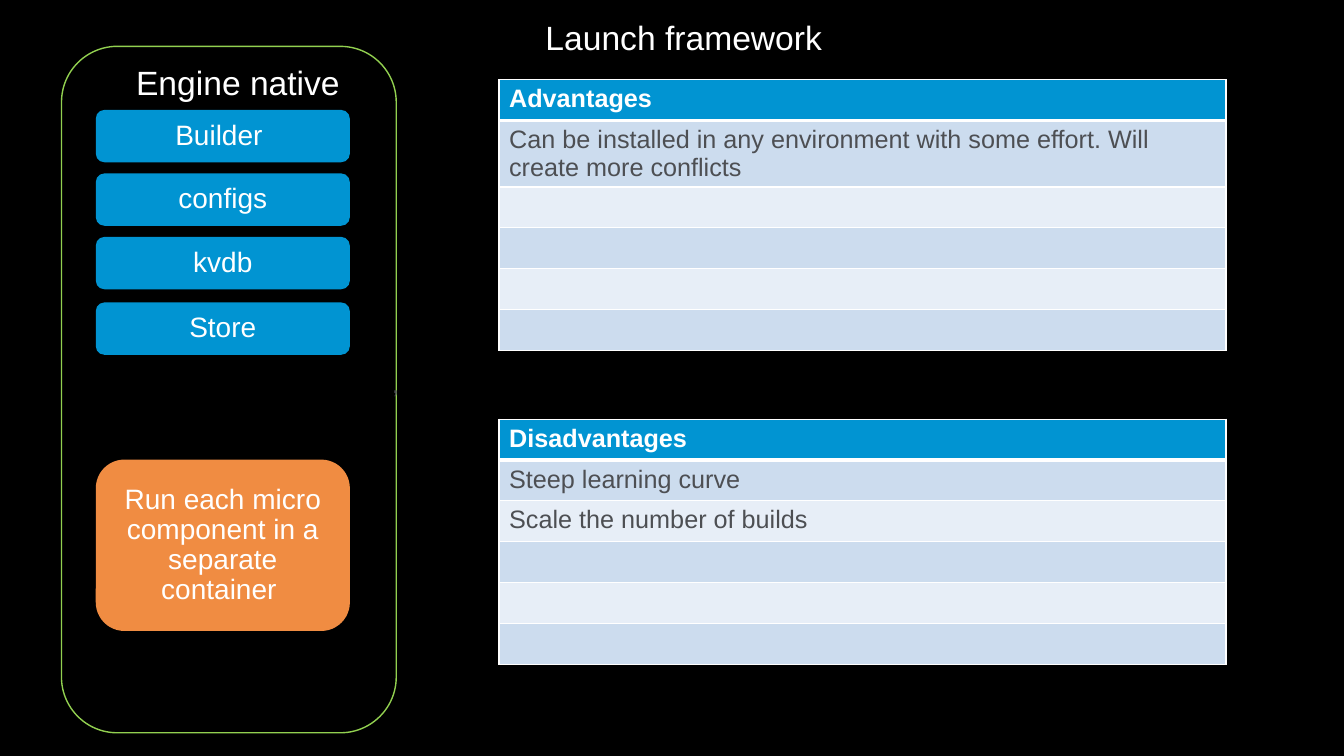
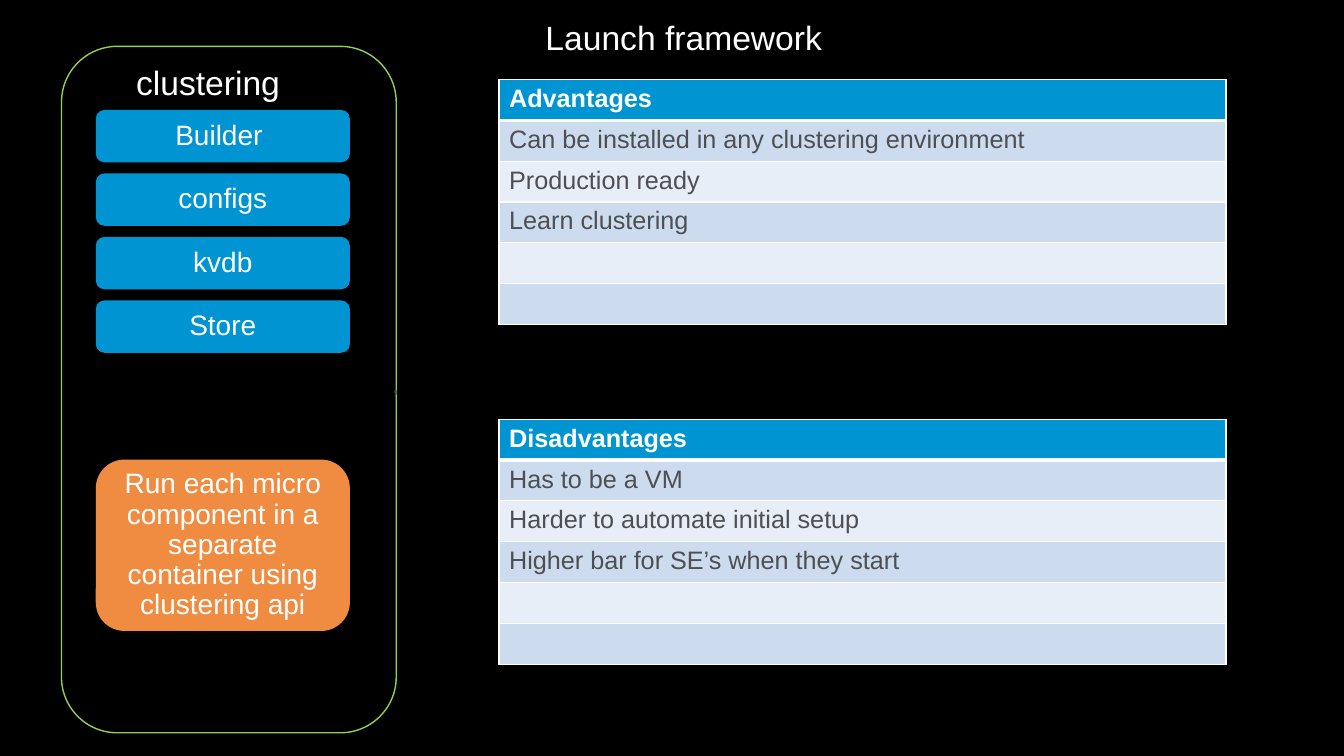
from dataclasses import dataclass

from lxml.etree import SubElement
from pptx import Presentation
from pptx.dml.color import RGBColor
from pptx.enum.shapes import MSO_SHAPE
from pptx.enum.text import MSO_ANCHOR, MSO_AUTO_SIZE, PP_ALIGN
from pptx.oxml.ns import qn
from pptx.util import Inches, Pt


@dataclass(frozen=True)
class Theme:
    font: str = "Arial"
    background: str = "000000"
    light: str = "FFFFFF"
    ink: str = "4D4F53"
    accent: str = "0194D2"
    note: str = "F08C42"
    outline: str = "92D050"
    bands: tuple = ("CCDCEE", "E7EEF7")
    heading_size: int = 24
    box_size: int = 20
    table_size: int = 18
    rule: int = 1
    header_rule: int = 3


THEME = Theme()

SLIDE_WIDTH, SLIDE_HEIGHT = 13.33, 7.5
PANEL = (0.61, 0.46, 3.32, 6.81)
PANEL_HEADING = (1.18, 0.44, 2.86, 0.75)
TITLE = (5.24, 0, 4.21, 1.15)
COMMA = (3.79, 3.6, 0.34, 0.4)
BOX_LEFT, BOX_WIDTH, BOX_HEIGHT = 0.95, 2.52, 0.52
BOX_TOP, BOX_STEP = 1.09, 0.63
NOTE_TOP, NOTE_HEIGHT = 4.56, 1.7
TABLE_LEFT, TABLE_WIDTH, TABLE_HEIGHT = 4.95, 7.21, 2.43
ADVANTAGES_TOP, DISADVANTAGES_TOP = 0.79, 4.16
TABLE_ROWS = 6
HEADING_INSET = 0.17

COMPONENTS = ("Builder ", "configs", "kvdb", "Store")

APPROACHES = (
    {
        "heading": "Engine native",
        "last_box_top": 3.0,
        "note": "Run each micro component in a separate container ",
        "advantages": (
            "Can be installed in any environment with some effort. "
            "Will create more conflicts",
        ),
        "disadvantages": ("Steep learning curve", "Scale the number of builds"),
    },
    {
        "heading": "clustering",
        "last_box_top": 2.98,
        "note": "Run each micro component in a separate container using clustering api",
        "advantages": (
            "Can be installed in any clustering environment",
            "Production ready",
            "Learn clustering",
        ),
        "disadvantages": (
            "Has to be a VM",
            "Harder to automate initial setup",
            "Higher bar for SE’s when they start",
        ),
    },
)


def rgb(value):
    return RGBColor.from_string(value)


def inches(box):
    return [Inches(length) for length in box]


def write(frame, text, size, color=THEME.light, bold=False, align=PP_ALIGN.LEFT,
          anchor=MSO_ANCHOR.TOP, spacing=None, inset=None, wrap=True):
    frame.word_wrap = wrap
    frame.auto_size = MSO_AUTO_SIZE.NONE
    frame.vertical_anchor = anchor
    if inset is not None:
        frame.margin_left = frame.margin_right = Inches(inset)
        frame.margin_top = frame.margin_bottom = Inches(inset)
    paragraph = frame.paragraphs[0]
    paragraph.alignment = align
    paragraph.line_spacing = spacing
    run = paragraph.add_run()
    run.text = text
    run.font.name = THEME.font
    run.font.size = Pt(size)
    run.font.bold = bold
    run.font.color.rgb = rgb(color)


def add_label(slide, box, text, **text_format):
    label = slide.shapes.add_textbox(*inches(box))
    write(label.text_frame, text, **text_format)


def add_rounded(slide, box, fill=None, line=None):
    rounded = slide.shapes.add_shape(MSO_SHAPE.ROUNDED_RECTANGLE, *inches(box))
    rounded.shadow.inherit = False
    if fill:
        rounded.fill.solid()
        rounded.fill.fore_color.rgb = rgb(fill)
    else:
        rounded.fill.background()
    if line:
        rounded.line.color.rgb = rgb(line)
        rounded.line.width = Pt(THEME.rule)
    else:
        rounded.line.fill.background()
    return rounded


def add_box(slide, top, height, text, fill):
    box = add_rounded(slide, (BOX_LEFT, top, BOX_WIDTH, height), fill=fill)
    write(box.text_frame, text, size=THEME.box_size, align=PP_ALIGN.CENTER,
          anchor=MSO_ANCHOR.MIDDLE, spacing=0.9)


def set_borders(cell, top, bottom):
    properties = cell._tc.get_or_add_tcPr()
    widths = {"L": THEME.rule, "R": THEME.rule, "T": top, "B": bottom}
    for position, (side, width) in enumerate(widths.items()):
        border = SubElement(properties, qn(f"a:ln{side}"), w=str(Pt(width)))
        fill = SubElement(border, qn("a:solidFill"))
        SubElement(fill, qn("a:srgbClr"), val=THEME.light)
        properties.insert(position, border)


def add_points_table(slide, top, header, points):
    box = (TABLE_LEFT, top, TABLE_WIDTH, TABLE_HEIGHT)
    table = slide.shapes.add_table(TABLE_ROWS, 1, *inches(box)).table
    for row, text in enumerate((header, *points)):
        is_header = row == 0
        write(table.cell(row, 0).text_frame, text, size=THEME.table_size,
              color=THEME.light if is_header else THEME.ink, bold=is_header)
    for row in range(TABLE_ROWS):
        cell = table.cell(row, 0)
        cell.fill.solid()
        fill = THEME.accent if row == 0 else THEME.bands[(row - 1) % 2]
        cell.fill.fore_color.rgb = rgb(fill)
        set_borders(cell,
                    top=THEME.header_rule if row == 1 else THEME.rule,
                    bottom=THEME.header_rule if row == 0 else THEME.rule)


def prepare_layout(deck):
    background = deck.slide_master.background.fill
    background.solid()
    background.fore_color.rgb = rgb(THEME.background)
    layout = deck.slide_layouts.get_by_name("Title Only")
    title = layout.placeholders[0]
    title.left, title.top, title.width, title.height = inches(TITLE)
    return layout


def add_approach(deck, layout, approach):
    slide = deck.slides.add_slide(layout)
    heading_format = {"size": THEME.heading_size, "inset": HEADING_INSET}
    write(slide.shapes.title.text_frame, "Launch framework", **heading_format)
    add_rounded(slide, PANEL, line=THEME.outline)
    add_label(slide, PANEL_HEADING, approach["heading"], **heading_format)
    add_label(slide, COMMA, ",", size=THEME.table_size, color=THEME.ink, wrap=False)
    tops = [BOX_TOP + BOX_STEP * index for index in range(len(COMPONENTS) - 1)]
    for top, component in zip((*tops, approach["last_box_top"]), COMPONENTS):
        add_box(slide, top, BOX_HEIGHT, component, THEME.accent)
    add_box(slide, NOTE_TOP, NOTE_HEIGHT, approach["note"], THEME.note)
    add_points_table(slide, ADVANTAGES_TOP, "Advantages", approach["advantages"])
    add_points_table(slide, DISADVANTAGES_TOP, "Disadvantages", approach["disadvantages"])


def main():
    deck = Presentation()
    deck.slide_width, deck.slide_height = inches((SLIDE_WIDTH, SLIDE_HEIGHT))
    layout = prepare_layout(deck)
    for approach in APPROACHES:
        add_approach(deck, layout, approach)
    deck.save("out.pptx")


if __name__ == "__main__":
    main()
